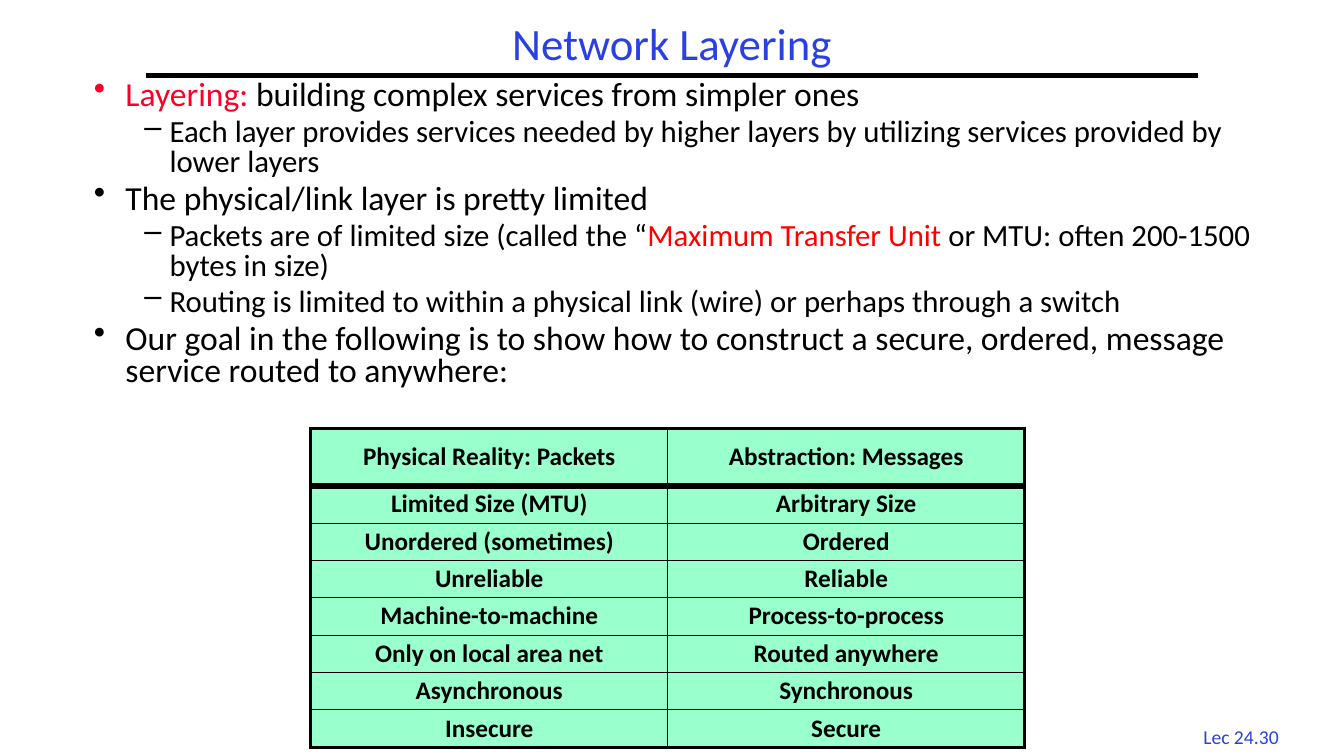
from dataclasses import dataclass

import pptx
import pptx.dml.color
import pptx.enum.shapes
import pptx.enum.text
import pptx.oxml
import pptx.oxml.ns
import pptx.util
from lxml import etree

Pt = pptx.util.Pt
RGB = pptx.dml.color.RGBColor.from_string
CENTER = pptx.enum.text.PP_ALIGN.CENTER
MIDDLE = pptx.enum.text.MSO_ANCHOR.MIDDLE


@dataclass(frozen=True)
class Theme:
    font: str = "Calibri"
    ink: str = "000000"
    heading: str = "2A40E2"
    term: str = "FC0128"
    highlight: str = "FF0000"
    cell: str = "99FFCC"
    title_size: float = 32
    level_sizes: tuple = (24, 22)
    table_size: float = 18
    footer_size: float = 14
    outer_border: float = 2.25
    header_border: float = 4.5
    inner_border: float = 1


THEME = Theme()

# Bullet character, left margin and hanging indent of each outline level
LEVELS = (("•", 22.5, 22.5), ("–", 54, 18))

# Level, then runs of text and colour
OUTLINE = (
    (0, (("Layering:", THEME.term),
         (" building complex services from simpler ones", THEME.ink))),
    (1, (("Each layer provides services needed by higher layers by utilizing "
          "services provided by lower layers", THEME.ink),)),
    (0, (("The physical/link layer is pretty limited", THEME.ink),)),
    (1, (("Packets are of limited size (called the “", THEME.ink),
         ("Maximum Transfer Unit ", THEME.highlight),
         ("or MTU: often 200-1500 bytes in size)", THEME.ink))),
    (1, (("Routing is limited to within a physical link (wire) or perhaps "
          "through a switch", THEME.ink),)),
    (0, (("Our goal in the following is to show how to construct a secure, "
          "ordered, message service routed to anywhere:", THEME.ink),)),
)

COMPARISON = (
    ("Physical Reality: Packets", "Abstraction: Messages"),
    ("Limited Size (MTU)", "Arbitrary Size"),
    ("Unordered (sometimes)", "Ordered"),
    ("Unreliable", "Reliable"),
    ("Machine-to-machine", "Process-to-process"),
    ("Only on local area net", "Routed anywhere"),
    ("Asynchronous", "Synchronous"),
    ("Insecure", "Secure"),
)


def set_font(paragraph, size, color, bold=False):
    font = paragraph.font
    font.name = THEME.font
    font.size = Pt(size)
    font.bold = bold
    font.color.rgb = RGB(color)


def add_frame(slide, left, top, width, height, wrap=True):
    box = slide.shapes.add_textbox(Pt(left), Pt(top), Pt(width), Pt(height))
    box.text_frame.word_wrap = wrap
    return box.text_frame


def add_label(slide, text, place, size, wrap=True):
    """Add one centred line in the heading colour."""
    frame = add_frame(slide, *place, wrap=wrap)
    frame.vertical_anchor = MIDDLE
    paragraph = frame.paragraphs[0]
    paragraph.text = text
    paragraph.alignment = CENTER
    paragraph.line_spacing = 0.9
    set_font(paragraph, size, THEME.heading)


def add_rule(slide, left, right, y):
    rule = slide.shapes.add_connector(
        pptx.enum.shapes.MSO_CONNECTOR.STRAIGHT, Pt(left), Pt(y), Pt(right), Pt(y))
    rule.line.color.rgb = RGB(THEME.ink)
    rule.line.width = Pt(3)
    etree.SubElement(rule._element.spPr, pptx.oxml.ns.qn("a:effectLst"))


def set_bullet(paragraph, level):
    character, margin, hanging = LEVELS[level]
    paragraph.level = level
    properties = paragraph._p.get_or_add_pPr()
    properties.set("marL", str(Pt(margin)))
    properties.set("indent", str(-Pt(hanging)))
    bullet = etree.SubElement(properties, pptx.oxml.ns.qn("a:buChar"))
    bullet.set("char", character)


def add_outline(slide, outline, place):
    frame = add_frame(slide, *place)
    for index, (level, runs) in enumerate(outline):
        paragraph = frame.add_paragraph() if index else frame.paragraphs[0]
        size = THEME.level_sizes[level]
        set_bullet(paragraph, level)
        paragraph.line_spacing = 0.8
        paragraph.space_before = Pt(0.2 * size if index else 0)
        set_font(paragraph, size, THEME.ink)
        for text, color in runs:
            run = paragraph.add_run()
            run.text = text
            if color != THEME.ink:
                run.font.color.rgb = RGB(color)


def set_borders(cell, **widths):
    """Draw the sides L, R, T and B, which must come in this order."""
    properties = cell._tc.get_or_add_tcPr()
    for side, width in widths.items():
        properties.append(pptx.oxml.parse_xml(
            f'<a:ln{side} {pptx.oxml.ns.nsdecls("a")} w="{Pt(width)}">'
            f'<a:solidFill><a:srgbClr val="{THEME.ink}"/></a:solidFill>'
            f'</a:ln{side}>'))


def add_comparison(slide, rows, left, top, column_width, header_height, row_height):
    column_count = len(rows[0])
    table = slide.shapes.add_table(
        len(rows), column_count, Pt(left), Pt(top), Pt(column_width * column_count),
        Pt(header_height + row_height * (len(rows) - 1))).table
    table.first_row = table.horz_banding = False
    for column in table.columns:
        column.width = Pt(column_width)

    outer, inner = THEME.outer_border, THEME.inner_border
    across = [outer] + [inner] * (column_count - 1) + [outer]
    down = [outer, THEME.header_border] + [inner] * (len(rows) - 2) + [outer]
    for r, texts in enumerate(rows):
        table.rows[r].height = Pt(row_height if r else header_height)
        for c, text in enumerate(texts):
            cell = table.cell(r, c)
            set_borders(cell, L=across[c], R=across[c + 1], T=down[r], B=down[r + 1])
            cell.fill.solid()
            cell.fill.fore_color.rgb = RGB(THEME.cell)
            cell.vertical_anchor = MIDDLE
            paragraph = cell.text_frame.paragraphs[0]
            paragraph.text = text
            paragraph.alignment = CENTER
            paragraph.line_spacing = 0.9
            set_font(paragraph, THEME.table_size, THEME.ink, bold=True)


def main():
    deck = pptx.Presentation()
    deck.slide_width, deck.slide_height = Pt(960), Pt(540)
    slide = deck.slides.add_slide(deck.slide_layouts[6])

    add_label(slide, "Lec 24.30", (847.5, 515.5, 78, 24), THEME.footer_size, wrap=False)
    add_rule(slide, 104, 856, 54)
    add_label(slide, "Network Layering", (104, 12, 752, 42), THEME.title_size)
    add_outline(slide, OUTLINE, (60, 54, 852, 450))
    add_comparison(slide, COMPARISON, left=222, top=306, column_width=255,
                   header_height=41, row_height=26.7)

    deck.save("out.pptx")


if __name__ == "__main__":
    main()
